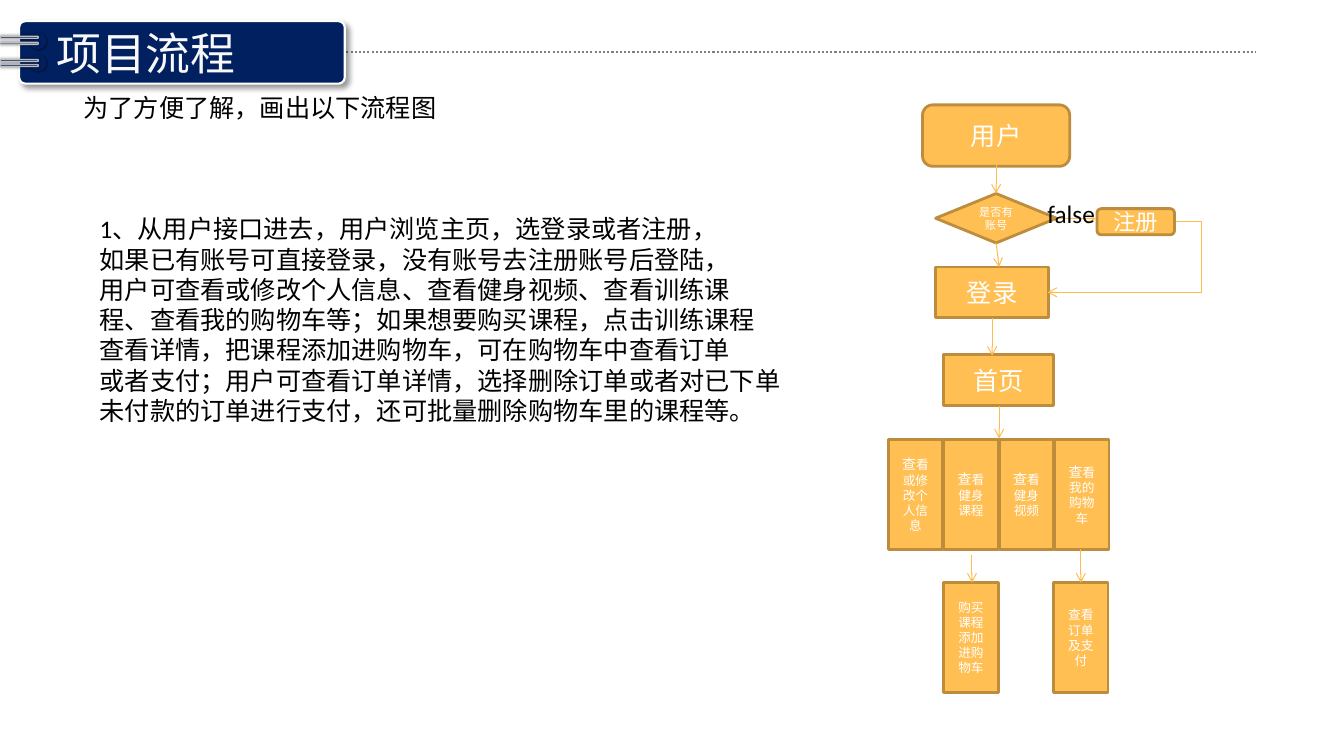
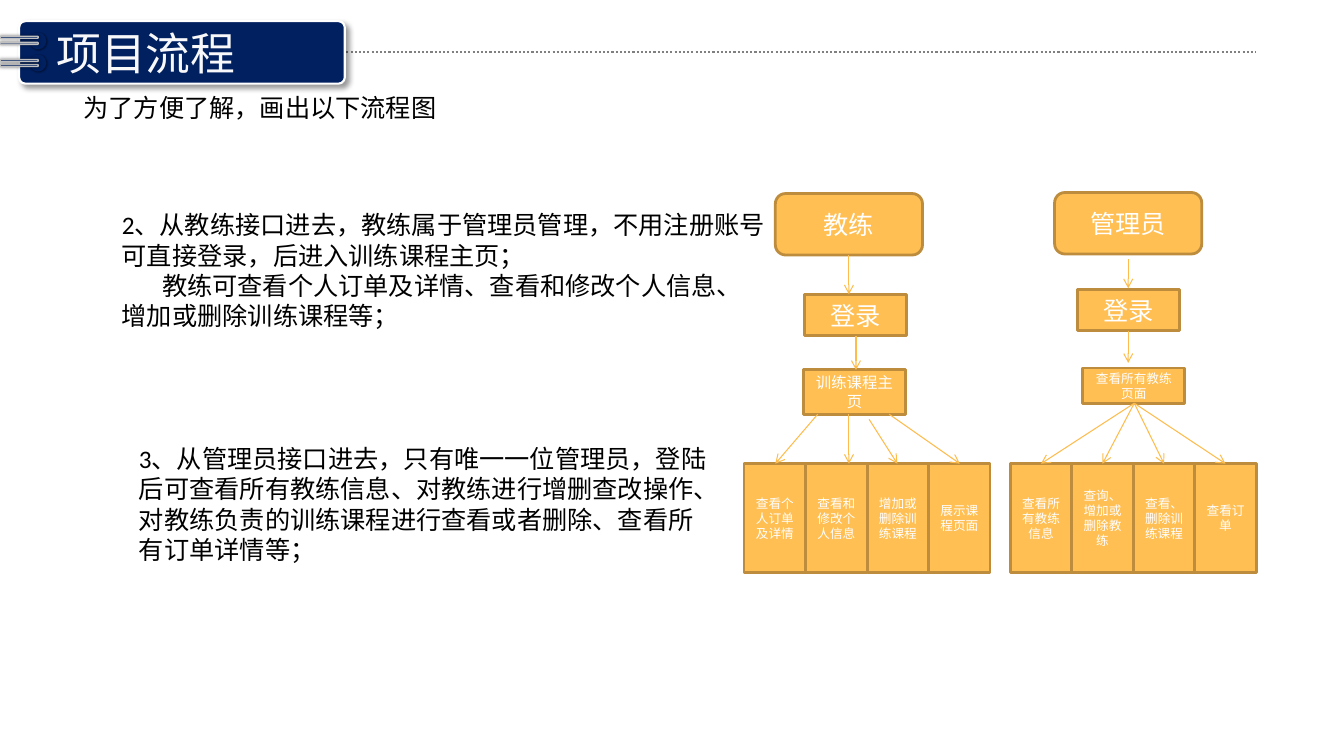
from dataclasses import dataclass
from typing import Optional

from lxml.etree import SubElement
from pptx import Presentation
from pptx.dml.color import RGBColor
from pptx.enum.dml import MSO_LINE
from pptx.enum.shapes import MSO_CONNECTOR as CONN, MSO_SHAPE as SHAPE
from pptx.enum.text import MSO_ANCHOR, MSO_AUTO_SIZE, PP_ALIGN
from pptx.oxml.ns import qn
from pptx.util import Inches, Pt

COLORS = {
    "navy": "002060",
    "white": "FFFFFF",
    "title": "F8F8FA",
    "black": "000000",
    "rule": "808080",
    "clip": "BFBFBF",
    "box": "FFBF53",
    "border": "BD8D3D",
    "arrow": "FEBC4D",
}
LATIN = "Calibri"
CJK = "Noto Sans CJK SC"


@dataclass(frozen=True)
class Box:
    x: float
    y: float
    w: float
    h: float
    text: str
    size: float = 18
    kind: SHAPE = SHAPE.RECTANGLE
    lead: Optional[float] = None


@dataclass(frozen=True)
class Arrow:
    x1: float
    y1: float
    x2: float
    y2: float


@dataclass(frozen=True)
class Note:
    x: float
    y: float
    w: float
    h: float
    text: str
    wrap: bool = False
    indented: Optional[int] = None


@dataclass(frozen=True)
class Shadow:
    blur: float
    dist: float
    angle: int


def rgb(name: str) -> RGBColor:
    return RGBColor.from_string(COLORS[name])


def style_run(r, size: float, color: str, latin: str = LATIN) -> None:
    r.font.size = Pt(size)
    r.font.color.rgb = rgb(color)
    r.font.name = latin
    SubElement(r.font._element, qn("a:ea"), typeface=CJK)


def add_shape(shapes, kind, x, y, w, h, fill, line=None, weight=1.0,
              adj=None, shadow: Optional[Shadow] = None):
    sp = shapes.add_shape(kind, Inches(x), Inches(y), Inches(w), Inches(h))
    sp.fill.solid()
    sp.fill.fore_color.rgb = rgb(fill)
    if line:
        sp.line.color.rgb = rgb(line)
        sp.line.width = Pt(weight)
    else:
        sp.line.fill.background()
    if adj is not None:
        sp.adjustments[0] = adj
    sp.shadow.inherit = False
    if shadow:
        effects = sp._element.spPr.find(qn("a:effectLst"))
        outer = SubElement(effects, qn("a:outerShdw"), blurRad=str(Pt(shadow.blur)),
                           dist=str(Pt(shadow.dist)), dir=str(shadow.angle * 60000),
                           algn="tl", rotWithShape="0")
        color = SubElement(outer, qn("a:srgbClr"), val=COLORS["black"])
        SubElement(color, qn("a:alpha"), val="40000")
    return sp


def add_line(shapes, kind, ends: Arrow, color: str, weight: float):
    c = shapes.add_connector(kind, Inches(ends.x1), Inches(ends.y1),
                             Inches(ends.x2), Inches(ends.y2))
    c.line.color.rgb = rgb(color)
    c.line.width = Pt(weight)
    SubElement(c._element.spPr, qn("a:effectLst"))
    return c


def add_arrow(shapes, ends: Arrow, bend: Optional[float] = None) -> None:
    kind = CONN.STRAIGHT if bend is None else CONN.ELBOW
    c = add_line(shapes, kind, ends, "arrow", 0.75)
    SubElement(c.line._get_or_add_ln(), qn("a:tailEnd"), type="arrow")
    if bend is not None:
        guides = c._element.spPr.find(qn("a:prstGeom")).find(qn("a:avLst"))
        SubElement(guides, qn("a:gd"), name="adj1", fmla=f"val {round(bend * 100000)}")


def add_box(shapes, box: Box) -> None:
    sp = add_shape(shapes, box.kind, box.x, box.y, box.w, box.h, "box", "border", 2)
    tf = sp.text_frame
    tf.word_wrap = True
    tf.vertical_anchor = MSO_ANCHOR.MIDDLE
    tf.text = box.text
    for p in tf.paragraphs:
        p.alignment = PP_ALIGN.CENTER
    if box.lead:
        first = tf.paragraphs[0]
        rest = first.runs[0].text[1:]
        first.runs[0].text = box.text[0]
        first.add_run().text = rest
    for p in tf.paragraphs:
        for r in p.runs:
            style_run(r, box.size, "white")
    if box.lead:
        tf.paragraphs[0].runs[0].font.size = Pt(box.lead)


def add_note(shapes, note: Note, size: float = 18, color: str = "black",
             latin: str = LATIN) -> None:
    tb = shapes.add_textbox(Inches(note.x), Inches(note.y), Inches(note.w), Inches(note.h))
    tf = tb.text_frame
    tf.word_wrap = note.wrap
    tf.auto_size = MSO_AUTO_SIZE.SHAPE_TO_FIT_TEXT
    tf.text = note.text
    for i, p in enumerate(tf.paragraphs):
        if i == note.indented:
            p._p.get_or_add_pPr().set("indent", str(Inches(0.4)))
        for r in p.runs:
            style_run(r, size, color, latin)


def add_header(s) -> None:
    shapes = s.shapes.add_group_shape().shapes
    rule = add_line(shapes, CONN.STRAIGHT, Arrow(3.31, 0.52, 12.46, 0.52), "rule", 1.5)
    rule.line.dash_style = MSO_LINE.ROUND_DOT
    add_shape(shapes, SHAPE.ROUNDED_RECTANGLE, 0.19, 0.21, 3.23, 0.62, "navy",
              "white", 1.5, 0.1, Shadow(4, 3, 45))
    for y in (0.54, 0.32):
        add_shape(shapes, SHAPE.OVAL, 0.29, y, 0.17, 0.17, "navy", shadow=Shadow(1, 1, 45))
        add_shape(shapes, SHAPE.OVAL, 0.31, y + 0.01, 0.14, 0.14, "navy")
    for y in (0.64, 0.59, 0.42, 0.36):
        add_shape(shapes, SHAPE.ROUNDED_RECTANGLE, 0, y, 0.38, 0.02, "navy",
                  "clip", 1, 0.5, Shadow(2, 0, 0))
    add_note(shapes, Note(0.46, 0.21, 2.95, 0.64, "项目流程", wrap=True), 32, "title", CJK)
    add_note(s.shapes, Note(0.73, 0.87, 3.74, 0.4, "为了方便了解，画出以下流程图"))


def box_row(left: float, top: float, w: float, h: float, pitch: float,
            labels: list[str], lead: Optional[float] = None) -> list[Box]:
    return [Box(left + i * pitch, top, w, h, label, 9, lead=lead)
            for i, label in enumerate(labels)]


def add_flow_slide(prs, boxes: list[Box], arrows: list[Arrow], notes: list[Note]):
    s = prs.slides.add_slide(prs.slide_layouts[6])
    add_header(s)
    for box in boxes:
        add_box(s.shapes, box)
    for ends in arrows:
        add_arrow(s.shapes, ends)
    for note in notes:
        add_note(s.shapes, note)
    return s


def add_user_slide(prs) -> None:
    boxes = [
        Box(9.15, 1.04, 1.46, 0.61, "用户", kind=SHAPE.ROUNDED_RECTANGLE),
        Box(9.28, 1.92, 1.2, 0.49, "是否有账号", 8, SHAPE.FLOWCHART_DECISION),
        Box(9.28, 2.65, 1.12, 0.5, "登录"),
        Box(10.88, 2.07, 0.77, 0.26, "注册", 16, SHAPE.ROUNDED_RECTANGLE),
        Box(9.36, 3.52, 1.09, 0.5, "首页"),
        *box_row(8.81, 4.36, 0.54, 1.09, 0.55,
                 ["查看或修改个人信息", "查看健身课程", "查看\n健身视频", "查看\n我的购物车"],
                 lead=10),
        *box_row(9.36, 5.78, 0.54, 1.09, 1.09, ["购买课程添加进购物车", "查看订单及支付"]),
    ]
    arrows = [
        Arrow(9.88, 1.64, 9.88, 1.92),
        Arrow(9.88, 2.41, 9.91, 2.65),
        Arrow(10.48, 2.17, 10.87, 2.17),
        Arrow(9.84, 3.15, 9.84, 3.53),
        Arrow(9.91, 4.03, 9.91, 4.35),
        Arrow(9.64, 5.51, 9.64, 5.78),
        Arrow(10.72, 5.45, 10.72, 5.78),
    ]
    steps = "\n".join([
        "1、从用户接口进去，用户浏览主页，选登录或者注册，",
        "如果已有账号可直接登录，没有账号去注册账号后登陆，",
        "用户可查看或修改个人信息、查看健身视频、查看训练课",
        "程、查看我的购物车等；如果想要购买课程，点击训练课程",
        "查看详情，把课程添加进购物车，可在购物车中查看订单",
        "或者支付；用户可查看订单详情，选择删除订单或者对已下单",
        "未付款的订单进行支付，还可批量删除购物车里的课程等。",
    ])
    notes = [Note(10.29, 1.92, 0.68, 0.4, "false"), Note(0.89, 2.07, 7.02, 2.22, steps)]
    s = add_flow_slide(prs, boxes, arrows, notes)
    add_arrow(s.shapes, Arrow(11.66, 2.2, 10.39, 2.9), bend=-0.2)


def add_staff_slide(prs) -> None:
    admin_tasks = box_row(10.02, 4.6, 0.61, 1.08, 0.61,
                          ["查看所有教练信息", "查询、增加或删除教练", "查看、删除训练课程", "查看订单"])
    boxes = [
        Box(7.69, 1.92, 1.46, 0.61, "教练", kind=SHAPE.ROUNDED_RECTANGLE),
        Box(7.98, 2.92, 1.01, 0.41, "登录"),
        Box(7.97, 3.67, 1.01, 0.44, "训练课程主页", 11),
        *box_row(7.38, 4.6, 0.61, 1.08, 0.61,
                 ["查看个人订单及详情", "查看和修改个人信息", "增加或删除训练课程", "展示课程页面"]),
        Box(10.46, 1.91, 1.46, 0.61, "管理员", kind=SHAPE.ROUNDED_RECTANGLE),
        Box(10.69, 2.87, 1.01, 0.41, "登录"),
        Box(10.74, 3.65, 1.01, 0.35, "查看所有教练页面", 9),
        *admin_tasks,
    ]
    arrows = [
        Arrow(8.42, 2.53, 8.42, 2.92),
        Arrow(8.49, 3.33, 8.49, 3.67),
        Arrow(8.11, 4.11, 7.69, 4.6),
        Arrow(8.42, 4.11, 8.42, 4.6),
        Arrow(8.62, 4.16, 8.9, 4.6),
        Arrow(8.82, 4.11, 9.52, 4.6),
        Arrow(11.19, 2.57, 11.19, 2.86),
        Arrow(11.19, 3.28, 11.19, 3.6),
        *(Arrow(11.25, 4, task.x + task.w / 2, task.y) for task in admin_tasks),
    ]
    coach = "\n".join([
        "2、从教练接口进去，教练属于管理员管理，不用注册账号",
        "可直接登录，后进入训练课程主页；",
        "教练可查看个人订单及详情、查看和修改个人信息、",
        "增加或删除训练课程等；",
    ])
    admin = ("3、从管理员接口进去，只有唯一一位管理员，登陆后可查看所有教练信息、"
             "对教练进行增删查改操作、对教练负责的训练课程进行查看或者删除、"
             "查看所有订单详情等；")
    notes = [
        Note(1.11, 2.03, 6.64, 1.31, coach, indented=2),
        Note(1.28, 4.35, 5.85, 1.62, admin, wrap=True),
    ]
    add_flow_slide(prs, boxes, arrows, notes)


def main() -> None:
    prs = Presentation()
    prs.slide_width = Inches(13.33)
    prs.slide_height = Inches(7.5)
    add_user_slide(prs)
    add_staff_slide(prs)
    prs.save("out.pptx")


if __name__ == "__main__":
    main()
